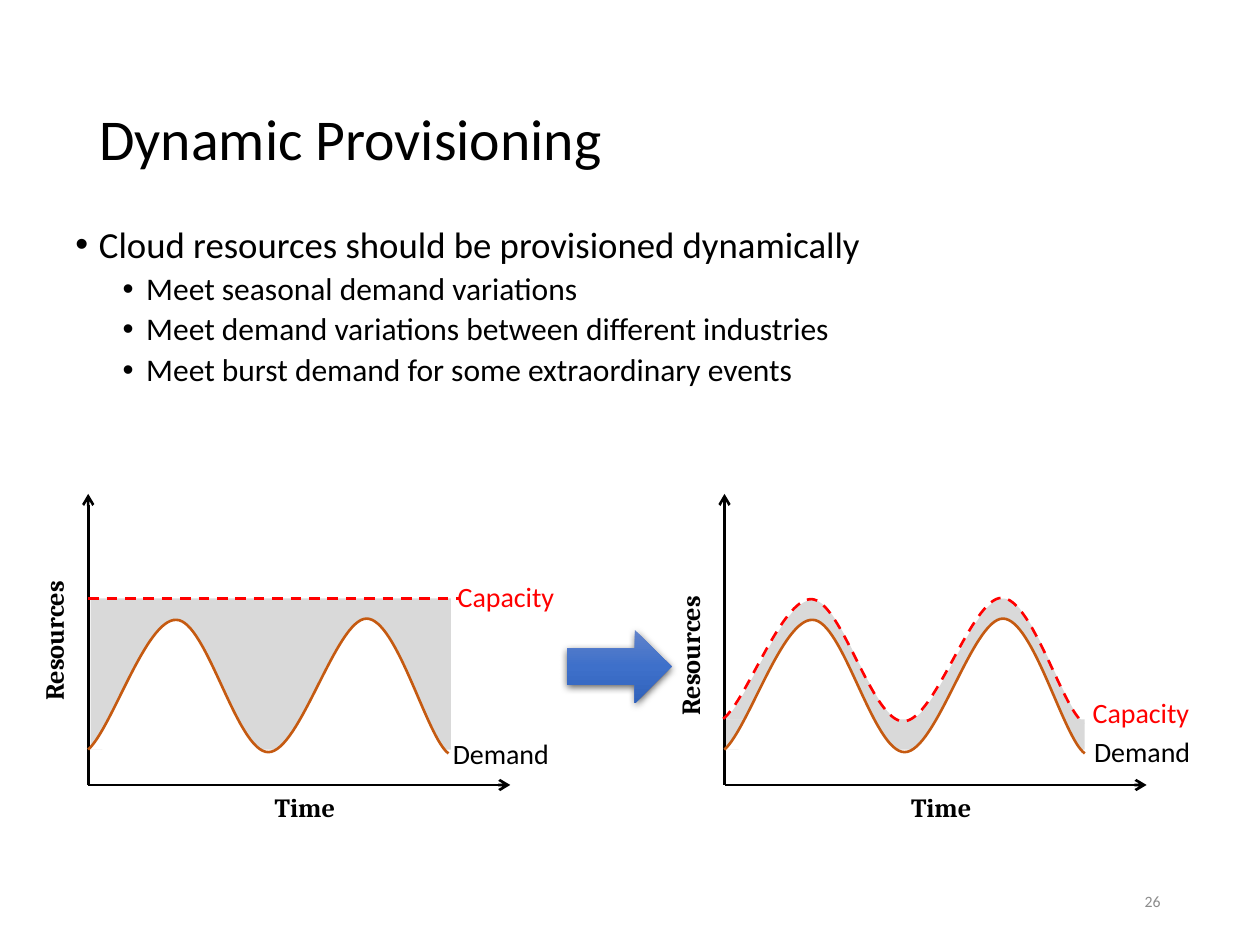
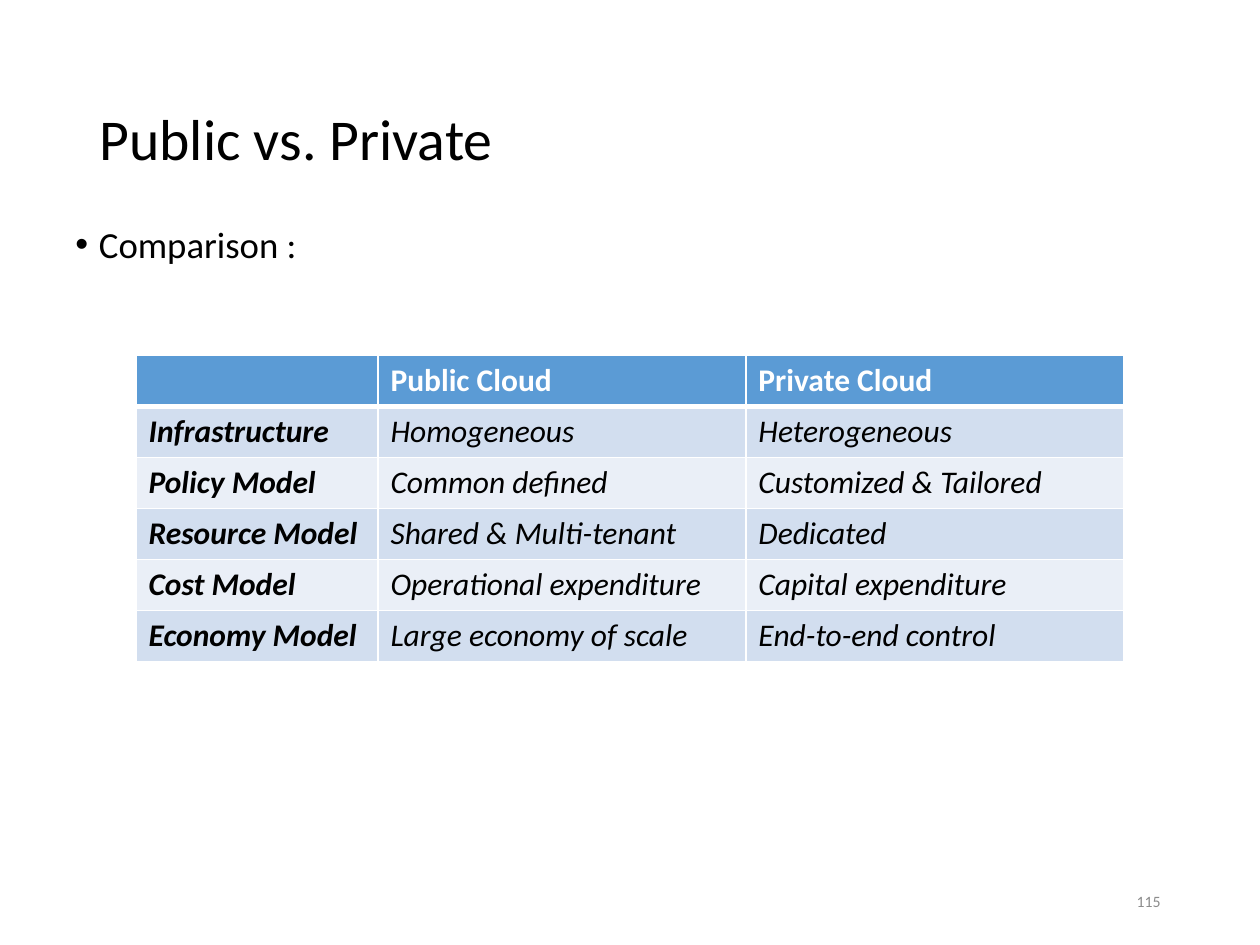
from dataclasses import dataclass
from typing import Any, NamedTuple

from lxml import etree
from pptx import Presentation
from pptx.dml.color import RGBColor
from pptx.enum.dml import MSO_LINE
from pptx.enum.shapes import MSO_CONNECTOR, MSO_SHAPE
from pptx.enum.text import MSO_ANCHOR, MSO_AUTO_SIZE, PP_ALIGN
from pptx.oxml import parse_xml
from pptx.oxml.ns import nsdecls, qn
from pptx.util import Inches, Pt

DASH = MSO_LINE.DASH
STRAIGHT = MSO_CONNECTOR.STRAIGHT
RECTANGLE, RIGHT_ARROW = MSO_SHAPE.RECTANGLE, MSO_SHAPE.RIGHT_ARROW
TOP, MIDDLE = MSO_ANCHOR.TOP, MSO_ANCHOR.MIDDLE
FIT_SHAPE = MSO_AUTO_SIZE.SHAPE_TO_FIT_TEXT
LEFT, CENTER, RIGHT = PP_ALIGN.LEFT, PP_ALIGN.CENTER, PP_ALIGN.RIGHT

WIDTH, HEIGHT = Inches(10), Inches(7.5)
COLUMNS, ROWS = 100, 75
COLORS = {
    "ink": "000000", "paper": "FFFFFF", "number": "8C8C8C",
    "capacity": "FF0000", "demand": "C55A11", "idle": "D9D9D9",
    "header": "5B9BD5", "band_dark": "D2DEEF", "band_light": "EAEFF7",
    "arrow_top": "6183CB", "arrow_middle": "3E70CA", "arrow_bottom": "3062BB",
}
FORMATS = {
    "title": {"size": Pt(33), "name": "Calibri"},
    "bullet": {"size": Pt(21), "name": "Calibri"},
    "sub_bullet": {"size": Pt(18), "name": "Calibri"},
    "number": {"size": Pt(9), "name": "Calibri"},
    "curve": {"size": Pt(16), "name": "Calibri"},
    "axis": {"size": Pt(15), "name": "Cambria", "bold": True},
    "header": {"size": Pt(18), "name": "Calibri", "bold": True},
    "row_name": {"size": Pt(18), "name": "Calibri", "bold": True, "italic": True},
    "value": {"size": Pt(18), "name": "Calibri", "bold": False, "italic": True},
}


class Area(NamedTuple):
    column: float
    row: float
    columns: float
    rows: float


class Spot(NamedTuple):
    column: float
    row: float


class Bullet(NamedTuple):
    text: str
    level: int = 0


@dataclass
class Label:
    text: str
    area: Area
    format: str
    color: str = "ink"
    vertical: bool = False


@dataclass
class Plot:
    origin: float
    idle_area: Area
    dynamic: bool
    labels: list[Label]


HANGING = Pt(13.5)
BULLET_LEVELS = [("bullet", HANGING, 7.5), ("sub_bullet", 3 * HANGING, 3.8)]
TITLE_AREA = Area(6.9, 4, 86.2, 14.5)
NUMBER_AREA = Area(70.6, 69.5, 22.5, 4)
BASELINE, AXIS_TOP, AXIS_LENGTH, CAPACITY_LEVEL = 62.3, 39.2, 33.5, 47.5
WAVE_COLUMNS = [0, 1.9, 4.6, 7, 9.4, 11.8, 14.3, 16.8, 19.7, 22.1, 24.5, 26.9, 28.6]
DEMAND_ROWS = [59.5, 57.8, 49.1, 49.2, 49.2, 59.7, 59.7, 59.7, 49.1, 49.1, 49.1, 58.6, 59.8]
CAPACITY_ROWS = [57.1, 55.6, 47.6, 47.6, 47.7, 57.3, 57.3, 57.3, 47.5, 47.5, 47.5, 56.3, 57.4]

PLOTS = [
    Plot(7, Area(7.2, 47.5, 28.6, 12), False, [
        Label("Demand", Area(34.9, 58, 9.7, 3.7), "curve"),
        Label("Capacity", Area(34.9, 45.5, 10.5, 3.7), "curve", "capacity"),
        Label("Time", Area(20.7, 62.3, 7, 3.5), "axis"),
        Label("Resources", Area(2.5, 45.4, 4.5, 10.9), "axis", vertical=True),
    ]),
    Plot(57.5, Area(57.5, 57.1, 28.6, 2.4), True, [
        Label("Demand", Area(85.8, 57.8, 9.7, 3.7), "curve"),
        Label("Capacity", Area(85.3, 54.7, 10.5, 3.7), "curve", "capacity"),
        Label("Time", Area(71.2, 62.3, 7, 3.5), "axis"),
        Label("Resources", Area(53, 46.6, 4.5, 10.9), "axis", vertical=True),
    ]),
]
COMPARISON = [
    ["", "Public Cloud", "Private Cloud"],
    ["Infrastructure", "Homogeneous", "Heterogeneous"],
    ["Policy Model", "Common defined", "Customized & Tailored"],
    ["Resource Model", "Shared & Multi-tenant", "Dedicated"],
    ["Cost Model", "Operational expenditure", "Capital expenditure"],
    ["Economy Model", "Large economy of scale", "End-to-end control"],
]
COMPARISON_COLUMNS = [19.2, 29.2, 30]
COMPARISON_AREA = Area(10.8, 28.2, sum(COMPARISON_COLUMNS), 24.3)
HEADER_BORDERS = {"L": 1, "R": 1, "T": 1, "B": 3}


def across(columns: float) -> int:
    return round(WIDTH * columns / COLUMNS)


def down(rows: float) -> int:
    return round(HEIGHT * rows / ROWS)


def place(area: Area) -> tuple[int, int, int, int]:
    return across(area.column), down(area.row), across(area.columns), down(area.rows)


def color_of(name: str) -> RGBColor:
    return RGBColor.from_string(COLORS[name])


def apply(target: Any, values: dict[str, Any]) -> None:
    for name, value in values.items():
        setattr(target, name, value)


def set_fill(target: Any, color: str | None) -> None:
    if color is None:
        target.fill.background()
    else:
        target.fill.solid()
        target.fill.fore_color.rgb = color_of(color)


def set_line(shape: Any, color: str | None, dashed: bool = False) -> None:
    if color is None:
        shape.line.fill.background()
        return
    shape.line.color.rgb = color_of(color)
    shape.line.width = Pt(1.5)
    if dashed:
        shape.line.dash_style = DASH


def add_span(para: Any, text: str, format_name: str, color: str = "ink") -> None:
    span = para.add_run()
    span.text = text
    apply(span.font, FORMATS[format_name])
    span.font.color.rgb = color_of(color)


def add_text(page: Any, area: Area, text: str, format_name: str, color: str = "ink",
             align: Any = LEFT, anchor: Any = TOP, wrap: bool = True) -> Any:
    box = page.shapes.add_textbox(*place(area))
    apply(box.text_frame, {"word_wrap": wrap, "vertical_anchor": anchor})
    para = box.text_frame.paragraphs[0]
    para.alignment = align
    add_span(para, text, format_name, color)
    return box


def add_label(page: Any, label: Label) -> None:
    box = add_text(page, label.area, label.text, label.format, label.color, CENTER, wrap=False)
    box.text_frame.auto_size = FIT_SHAPE
    if label.vertical:
        box.text_frame._txBody.bodyPr.set("vert", "vert270")


def add_bullets(page: Any, bullets: list[Bullet], rows: float) -> None:
    frame = page.shapes.add_textbox(*place(Area(5, 17.5, 90, rows))).text_frame
    frame.word_wrap = True
    for index, bullet in enumerate(bullets):
        para = frame.add_paragraph() if index else frame.paragraphs[0]
        format_name, indent, space = BULLET_LEVELS[bullet.level]
        properties = para._p.get_or_add_pPr()
        properties.set("marL", str(indent))
        properties.set("indent", str(-HANGING))
        etree.SubElement(properties, qn("a:buFont")).set("typeface", "Arial")
        etree.SubElement(properties, qn("a:buChar")).set("char", "•")
        apply(para, {"level": bullet.level, "line_spacing": 0.9})
        if index:
            para.space_before = Pt(space)
        add_span(para, bullet.text, format_name)


def add_page(deck: Any, title: str, number: int) -> Any:
    page = deck.slides.add_slide(deck.slide_layouts[6])
    box = add_text(page, TITLE_AREA, title, "title", anchor=MIDDLE)
    box.text_frame.paragraphs[0].line_spacing = 0.9
    add_text(page, NUMBER_AREA, str(number), "number", "number", RIGHT, MIDDLE)
    return page


def add_line(page: Any, start: Spot, end: Spot, color: str, dashed: bool = False,
             arrow: bool = False) -> None:
    line = page.shapes.add_connector(
        STRAIGHT, across(start.column), down(start.row), across(end.column), down(end.row))
    set_line(line, color, dashed)
    if arrow:
        etree.SubElement(line.line._get_or_add_ln(), qn("a:tailEnd")).set("type", "arrow")
    etree.SubElement(line._element.spPr, qn("a:effectLst"))


def add_wave(page: Any, origin: float, rows: list[float], fill: str | None,
             line: str | None, dashed: bool = False) -> None:
    points = [(across(origin + column), down(row)) for column, row in zip(WAVE_COLUMNS, rows)]
    builder = page.shapes.build_freeform(*points[0])
    builder.add_line_segments(points[1:], close=False)
    wave = builder.convert_to_shape()
    corners = list(wave._element.iter(qn("a:lnTo")))
    outline = corners[0].getparent()
    for first in range(0, len(corners), 3):
        curve = etree.SubElement(outline, qn("a:cubicBezTo"))
        for corner in corners[first:first + 3]:
            curve.append(corner[0])
            outline.remove(corner)
    wave.shadow.inherit = False
    set_fill(wave, fill)
    set_line(wave, line, dashed)


def add_plot(page: Any, plot: Plot) -> None:
    idle = page.shapes.add_shape(RECTANGLE, *place(plot.idle_area))
    idle.shadow.inherit = False
    set_fill(idle, "idle")
    set_line(idle, None)
    if plot.dynamic:
        add_wave(page, plot.origin, CAPACITY_ROWS, "idle", None)
    corner = Spot(plot.origin, BASELINE)
    for end in (Spot(plot.origin, AXIS_TOP), Spot(plot.origin + AXIS_LENGTH, BASELINE)):
        add_line(page, corner, end, "ink", arrow=True)
    add_wave(page, plot.origin, DEMAND_ROWS, "paper", "demand")
    for label in plot.labels:
        add_label(page, label)
    if plot.dynamic:
        limit_rows = [row - 0.05 for row in CAPACITY_ROWS]
        add_wave(page, plot.origin - 0.1, limit_rows, None, "capacity", dashed=True)
    else:
        add_line(page, Spot(plot.origin, CAPACITY_LEVEL),
                 Spot(plot.origin + 29.4, CAPACITY_LEVEL), "capacity", dashed=True)


def add_change_arrow(page: Any) -> None:
    arrow = page.shapes.add_shape(RIGHT_ARROW, *place(Area(45, 50, 8.3, 5.8)))
    stops = "".join(
        f'<a:gs pos="{index * 50000}"><a:srgbClr val="{COLORS[name]}"/></a:gs>'
        for index, name in enumerate(("arrow_top", "arrow_middle", "arrow_bottom")))
    properties = arrow._element.spPr
    properties.append(parse_xml(
        f'<a:gradFill {nsdecls("a")} rotWithShape="1"><a:gsLst>{stops}</a:gsLst>'
        '<a:lin ang="5400000" scaled="0"/></a:gradFill>'))
    set_line(arrow, None)
    properties.append(parse_xml(
        f'<a:effectLst {nsdecls("a")}><a:outerShdw blurRad="{Pt(4.5)}" dist="{Pt(1.5)}" '
        f'dir="5400000" rotWithShape="0"><a:srgbClr val="{COLORS["ink"]}">'
        '<a:alpha val="63000"/></a:srgbClr></a:outerShdw></a:effectLst>'))


def set_borders(cell: Any, widths: dict[str, float]) -> None:
    properties = cell._tc.get_or_add_tcPr()
    for index, (side, width) in enumerate(widths.items()):
        properties.insert(index, parse_xml(
            f'<a:ln{side} {nsdecls("a")} w="{Pt(width)}"><a:solidFill>'
            f'<a:srgbClr val="{COLORS["paper"]}"/></a:solidFill></a:ln{side}>'))


def add_comparison(page: Any) -> None:
    table = page.shapes.add_table(
        len(COMPARISON), len(COMPARISON_COLUMNS), *place(COMPARISON_AREA)).table
    for column, columns in zip(table.columns, COMPARISON_COLUMNS):
        column.width = across(columns)
    for row, texts in enumerate(COMPARISON):
        band = "band_dark" if row % 2 else "band_light"
        for column, text in enumerate(texts):
            cell = table.cell(row, column)
            set_fill(cell, band if row else "header")
            if row:
                cell.vertical_anchor = MIDDLE
            else:
                set_borders(cell, HEADER_BORDERS)
            if text:
                format_name = ("value" if column else "row_name") if row else "header"
                add_span(cell.text_frame.paragraphs[0], text, format_name,
                         "ink" if row else "paper")


def main() -> None:
    deck = Presentation()
    apply(deck, {"slide_width": WIDTH, "slide_height": HEIGHT})

    provisioning = add_page(deck, "Dynamic Provisioning", 26)
    add_bullets(provisioning, [
        Bullet("Cloud resources should be provisioned dynamically"),
        Bullet("Meet seasonal demand variations", 1),
        Bullet("Meet demand variations between different industries", 1),
        Bullet("Meet burst demand for some extraordinary events", 1),
    ], 25)
    for plot in PLOTS:
        add_plot(provisioning, plot)
    add_change_arrow(provisioning)

    clouds = add_page(deck, "Public vs. Private", 115)
    add_bullets(clouds, [Bullet("Comparison :")], 6.7)
    add_comparison(clouds)
    deck.save("out.pptx")


if __name__ == "__main__":
    main()
